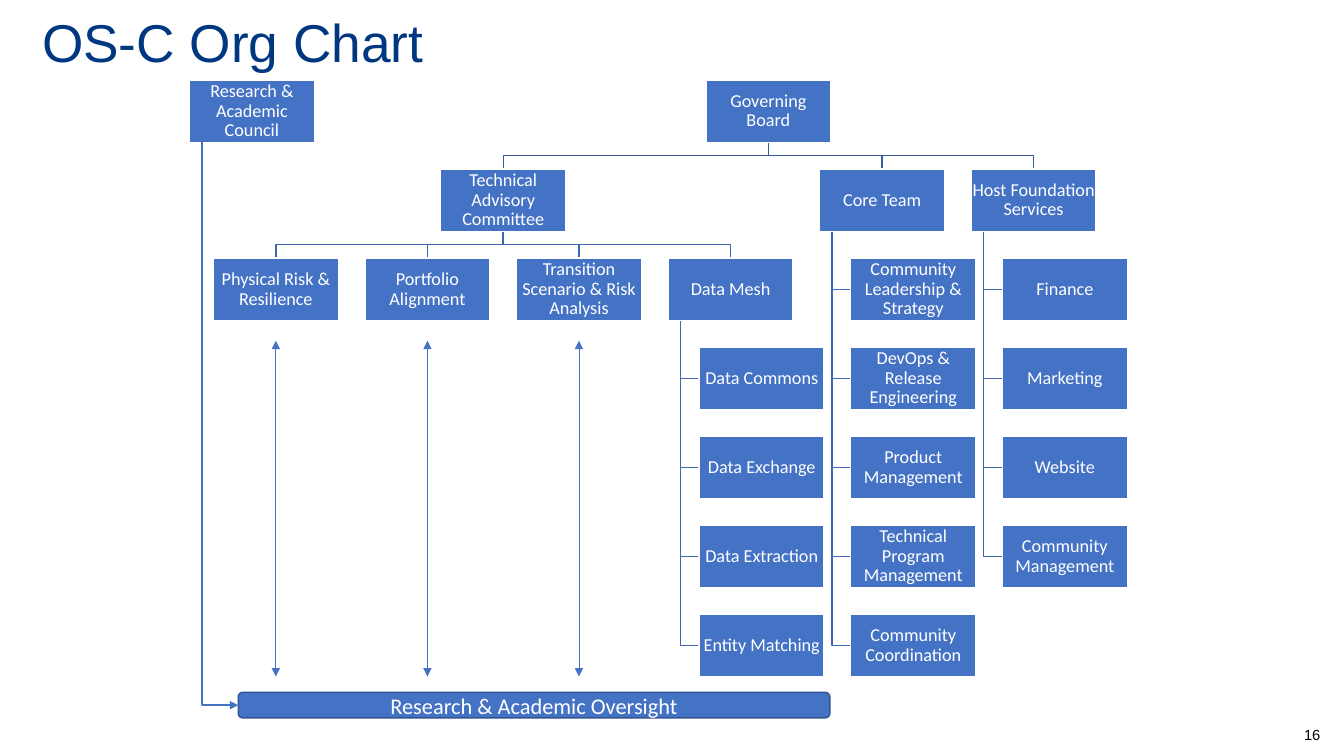
"""Build the OS-C organisation chart slide."""
from lxml.etree import SubElement
from pptx import Presentation
from pptx.dml.color import RGBColor
from pptx.enum.shapes import MSO_CONNECTOR as LINK, MSO_SHAPE as SHAPE
from pptx.enum.text import MSO_ANCHOR as ANCHOR, PP_ALIGN as ALIGN
from pptx.oxml.ns import qn
from pptx.util import Pt

COLORS = {"node": "4472C4", "white": "FFFFFF", "title": "003781", "black": "000000",
          "upper": "365B9D", "lower": "3E67B2", "bar_edge": "325491"}

NODE_W, NODE_H = 89.3, 44.6
COLUMN_STEP, ROW_STEP = 108.25, 63.6
LEAF_INDENT, TRUNK_INSET = 22.3, 8.9

WORKSTREAMS = [
    ("Physical Risk & Resilience", []),
    ("Portfolio Alignment", []),
    ("Transition Scenario & Risk Analysis", []),
    ("Data Mesh", ["Data Commons", "Data Exchange", "Data Extraction", "Entity Matching"]),
]
TEAMS = [
    ("Core Team", ["Community Leadership & Strategy", "DevOps & Release Engineering",
                   "Product Management", "Technical Program Management",
                   "Community Coordination"]),
    ("Host Foundation Services", ["Finance", "Marketing", "Website",
                                  "Community Management"]),
]


def color(name):
    return RGBColor.from_string(COLORS[name])


def write(shape, text, size=13, font="Calibri", ink="white", align=ALIGN.CENTER,
          anchor=ANCHOR.MIDDLE, spacing=1.0, inset=None, wrap=True):
    frame = shape.text_frame
    frame.word_wrap = wrap
    frame.vertical_anchor = anchor
    if inset is not None:
        frame.margin_left = frame.margin_right = Pt(inset)
        frame.margin_top = frame.margin_bottom = Pt(inset)
    line = frame.paragraphs[0]
    line.alignment = align
    line.line_spacing = spacing
    run = line.add_run()
    run.text = text
    run.font.size, run.font.name = Pt(size), font
    run.font.color.rgb = color(ink)


def block(slide, kind, left, top, width, height, edge):
    shape = slide.shapes.add_shape(kind, Pt(left), Pt(top), Pt(width), Pt(height))
    shape.shadow.inherit = False
    shape.fill.solid()
    shape.fill.fore_color.rgb = color("node")
    shape.line.color.rgb = color(edge)
    shape.line.width = Pt(1)
    return shape


def node(slide, text, left, top):
    box = block(slide, SHAPE.RECTANGLE, left, top, NODE_W, NODE_H, "white")
    write(box, text, spacing=0.9, inset=0.7)


def branch(slide, points, ink):
    corners = [(Pt(x), Pt(y)) for x, y in points]
    builder = slide.shapes.build_freeform(*corners[0], scale=1.0)
    builder.add_line_segments(corners[1:], close=False)
    path = builder.convert_to_shape()
    path.shadow.inherit = False
    path.fill.background()
    path.line.color.rgb = color(ink)
    path.line.width = Pt(1)


def arrow(slide, kind, start, end, weight, ends):
    link = slide.shapes.add_connector(kind, *(Pt(v) for v in (*start, *end)))
    link.line.color.rgb = color("node")
    link.line.width = Pt(weight)
    for tip in ends:
        SubElement(link.line._get_or_add_ln(), qn(f"a:{tip}"), type="triangle")
    SubElement(link._element.spPr, qn("a:effectLst"))
    return link


def title(slide, left, top, width, height):
    box = slide.shapes.add_textbox(Pt(left), Pt(top), Pt(width), Pt(height))
    write(box, "OS-C Org Chart", size=38, font="Arial", ink="title",
          align=ALIGN.LEFT, anchor=ANCHOR.TOP, wrap=False)


def hierarchy(slide, left, top):
    """Place the board's tree on a grid of columns and rows, branches behind nodes."""
    def at(column, row):
        return left + column * COLUMN_STEP, top + row * ROW_STEP

    board, committee = at(3.25, 0), at(1.5, 1)
    nodes = [("Governing Board", board), ("Technical Advisory Committee", committee)]

    def drop(parent, child, ink):
        x, y = parent[0] + NODE_W / 2, parent[1] + NODE_H
        child_x = child[0] + NODE_W / 2
        middle = (y + child[1]) / 2
        branch(slide, [(x, y), (x, middle), (child_x, middle), (child_x, child[1])], ink)

    def group(units, first_column, row, parent, ink):
        for column, (heading, leaves) in enumerate(units, first_column):
            head = at(column, row)
            drop(parent, head, ink)
            nodes.append((heading, head))
            trunk = head[0] + TRUNK_INSET
            for depth, leaf in enumerate(leaves, 1):
                spot = head[0] + LEAF_INDENT, head[1] + depth * ROW_STEP
                middle = spot[1] + NODE_H / 2
                branch(slide, [(trunk, head[1] + NODE_H), (trunk, middle),
                               (spot[0], middle)], "lower")
                nodes.append((leaf, spot))

    drop(board, committee, "upper")
    group(WORKSTREAMS, 0, 2, committee, "lower")
    group(TEAMS, 4, 1, board, "upper")
    for text, spot in nodes:
        node(slide, text, *spot)


def oversight(slide, left, top, width, height, council_left, council_top):
    """Place the council, the oversight bar and the elbow arrow joining them."""
    node(slide, "Research & Academic Council", council_left, council_top)
    bar = block(slide, SHAPE.ROUNDED_RECTANGLE, left, top, width, height, "bar_edge")
    write(bar, "Research & Academic Oversight", size=16)
    x, y = council_left + TRUNK_INSET, council_top + NODE_H
    run, fall = left - x, top + height / 2 - y
    center_x, center_y = x + run / 2, y + fall / 2
    elbow = arrow(slide, LINK.ELBOW, (center_x + fall / 2, center_y - run / 2),
                  (center_x - fall / 2, center_y + run / 2), 1.5, ["tailEnd"])
    properties = elbow._element.spPr
    properties.find(qn("a:xfrm")).set("rot", str(270 * 60000))
    properties.find(qn("a:prstGeom")).set("prst", "bentConnector2")


def exchanges(slide, left, top, height):
    """Place a two-way arrow under each of the first three workstreams."""
    for column in range(3):
        x = left + column * COLUMN_STEP + NODE_W / 2
        arrow(slide, LINK.STRAIGHT, (x, top), (x, top + height), 0.5,
              ["headEnd", "tailEnd"])


def page_number(slide, left, top, width, height):
    box = slide.shapes.add_textbox(Pt(left), Pt(top), Pt(width), Pt(height))
    write(box, "16", size=10.5, font="Arial", ink="black",
          align=ALIGN.LEFT, anchor=ANCHOR.TOP)


def main():
    deck = Presentation()
    deck.slide_width, deck.slide_height = Pt(960), Pt(540)
    slide = deck.slides.add_slide(deck.slide_layouts[6])
    title(slide, 23, 2.9, 289.4, 53.3)
    hierarchy(slide, 152.4, 57.1)
    oversight(slide, 170.2, 494.6, 422.6, 18.2, council_left=135.3, council_top=57.1)
    exchanges(slide, 152.4, 243.4, 239.8)
    page_number(slide, 924.5, 514.8, 35.5, 20.9)
    deck.save("out.pptx")


if __name__ == "__main__":
    main()
